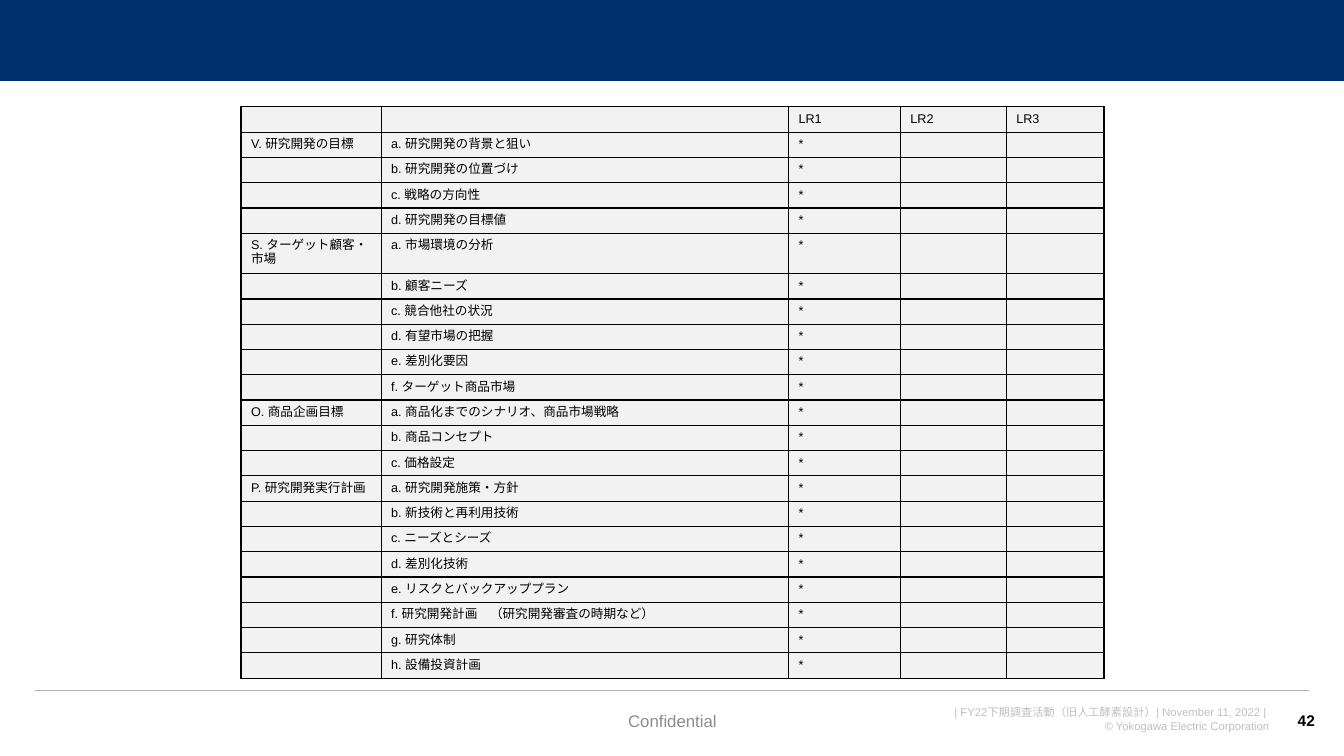
import pptx
import pptx.util
import pptx.dml.color
import pptx.enum.shapes
import pptx.enum.text
import pptx.oxml.ns
from lxml import etree

Inches, Pt = pptx.util.Inches, pptx.util.Pt
ALIGN = pptx.enum.text.PP_ALIGN
ANCHOR = pptx.enum.text.MSO_ANCHOR
qn = pptx.oxml.ns.qn

# Content
LEVELS = ["LR1", "LR2", "LR3"]
SECTIONS = [
    ("V. 研究開発の目標", [
        "a. 研究開発の背景と狙い", "b. 研究開発の位置づけ",
        "c. 戦略の方向性", "d. 研究開発の目標値"]),
    ("S. ターゲット顧客・市場", [
        "a. 市場環境の分析", "b. 顧客ニーズ", "c. 競合他社の状況",
        "d. 有望市場の把握", "e. 差別化要因", "f. ターゲット商品市場"]),
    ("O. 商品企画目標", [
        "a. 商品化までのシナリオ、商品市場戦略",
        "b. 商品コンセプト", "c. 価格設定"]),
    ("P. 研究開発実行計画", [
        "a. 研究開発施策・方針", "b. 新技術と再利用技術", "c. ニーズとシーズ",
        "d. 差別化技術", "e. リスクとバックアッププラン",
        "f. 研究開発計画　（研究開発審査の時期など）",
        "g. 研究体制", "h. 設備投資計画"]),
]
FOOTER = ["| FY22下期調査活動（旧人工酵素設計）| November 11, 2022 | ",
          "© Yokogawa Electric Corporation"]
CONFIDENTIAL = "Confidential"
PAGE = "42"

THEME = {
    "font": "Arial",
    "band": "00316C", "white": "FFFFFF", "rule": "B2B2B2",
    "ink": "000000", "cell": "F2F2F2", "footer": "BFBFBF", "label": "8C8C8C",
    "cell_pt": 9, "footer_pt": 8, "label_pt": 12, "page_pt": 11,
}
SLIDE_W, SLIDE_H = 13.33, 7.5
BAND_H = 0.81
COLUMNS = [1.39, 4.04, 1.11, 1.05, 0.97]
TABLE_LEFT, TABLE_TOP = 2.39, 1.06
ROW_H, TWO_LINE_ROW_H = 0.25, 0.4
TWO_LINE_SECTION = SECTIONS[1][0]


def color(name):
    return pptx.dml.color.RGBColor.from_string(THEME[name])


def add_run(p, text, size, ink, bold=False):
    r = p.add_run()
    r.text = text
    r.font.name = THEME["font"]
    r.font.size = Pt(THEME[size])
    r.font.bold = bold
    r.font.color.rgb = color(ink)
    etree.SubElement(r._r.get_or_add_rPr(), qn("a:ea"), typeface=THEME["font"])


def add_text(s, box, lines, size, ink, align, anchor=ANCHOR.TOP, wrap=True, bold=False):
    tf = s.shapes.add_textbox(*map(Inches, box)).text_frame
    tf.word_wrap = wrap
    tf.vertical_anchor = anchor
    for i, line in enumerate(lines):
        p = tf.add_paragraph() if i else tf.paragraphs[0]
        p.alignment = align
        add_run(p, line, size, ink, bold)


def add_rule(s, left, right, y, ink, width):
    line = s.shapes.add_connector(
        pptx.enum.shapes.MSO_CONNECTOR.STRAIGHT,
        Inches(left), Inches(y), Inches(right), Inches(y))
    line.line.color.rgb = color(ink)
    line.line.width = Pt(width)
    etree.SubElement(line._element.spPr, qn("a:effectLst"))


def add_borders(cell):
    tcPr = cell._tc.get_or_add_tcPr()
    for side in ("a:lnL", "a:lnR", "a:lnT", "a:lnB"):
        ln = etree.SubElement(tcPr, qn(side), w=str(Pt(1)))
        fill = etree.SubElement(ln, qn("a:solidFill"))
        etree.SubElement(fill, qn("a:srgbClr"), val=THEME["ink"])


def fill_cell(cell, text):
    cell.margin_left = cell.margin_right = Inches(0.1)
    cell.margin_top, cell.margin_bottom = Inches(0.05), Inches(0.05)
    add_borders(cell)
    cell.fill.solid()
    cell.fill.fore_color.rgb = color("cell")
    p = cell.text_frame.paragraphs[0]
    if text:
        add_run(p, text, "cell_pt", "ink")
    else:  # keeps an empty cell from stretching its row
        etree.SubElement(p._p, qn("a:endParaRPr"), sz=str(THEME["cell_pt"] * 100))


def add_checklist(s):
    rows = [["", "", *LEVELS]]
    for section, items in SECTIONS:
        for i, item in enumerate(items):
            rows.append(["" if i else section, item, "*", "", ""])
    heights = [TWO_LINE_ROW_H if row[0] == TWO_LINE_SECTION else ROW_H for row in rows]
    table = s.shapes.add_table(
        len(rows), len(COLUMNS), Inches(TABLE_LEFT), Inches(TABLE_TOP),
        Inches(sum(COLUMNS)), Inches(sum(heights))).table
    table.first_row = table.horz_banding = False
    for column, width in zip(table.columns, COLUMNS):
        column.width = Inches(width)
    for i, row in enumerate(rows):
        table.rows[i].height = Inches(heights[i])
        for j, text in enumerate(row):
            fill_cell(table.cell(i, j), text)


def main():
    prs = pptx.Presentation()
    prs.slide_width, prs.slide_height = Inches(SLIDE_W), Inches(SLIDE_H)
    s = prs.slides.add_slide(prs.slide_layouts[6])

    # Top band and rules
    band = s.shapes.add_shape(pptx.enum.shapes.MSO_SHAPE.RECTANGLE,
                              0, 0, Inches(SLIDE_W), Inches(BAND_H))
    band.shadow.inherit = False
    band.fill.solid()
    band.fill.fore_color.rgb = color("band")
    band.line.fill.background()
    add_rule(s, 0, SLIDE_W, BAND_H, "white", 0.75)
    add_rule(s, 0.35, 12.98, 6.85, "rule", 1)

    # Footer
    add_text(s, (9.28, 6.95, 3.41, 0.37), FOOTER, "footer_pt", "footer", ALIGN.RIGHT)
    add_text(s, (12.7, 6.95, 0.44, 0.4), [PAGE], "page_pt", "ink", ALIGN.RIGHT,
             ANCHOR.MIDDLE, wrap=False, bold=True)
    add_text(s, (4.42, 6.95, 4.5, 0.4), [CONFIDENTIAL], "label_pt", "label",
             ALIGN.CENTER, ANCHOR.MIDDLE)

    # Review checklist
    add_checklist(s)
    prs.save("out.pptx")


if __name__ == "__main__":
    main()
